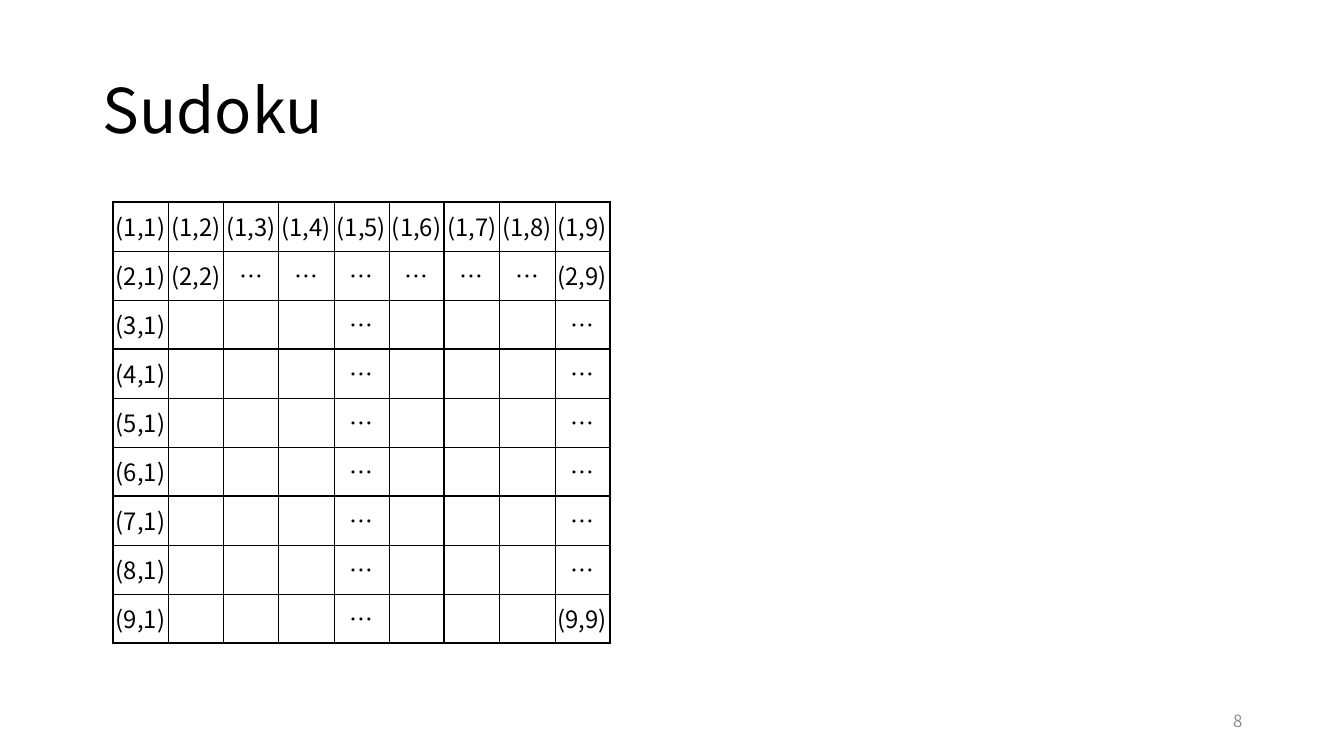
from lxml import etree
from pptx import Presentation
from pptx import util as u
from pptx.dml.color import RGBColor
from pptx.enum import text
from pptx.oxml import ns

COLORS = {"ink": "000000", "page": "FFFFFF", "number": "8C8C8C"}
FONT = "Noto Sans CJK KR"
SIZE = 9
BOX = 3
COLUMN, ROW = u.Inches(4.93 / SIZE), u.Inches(4.38 / SIZE)
THICK, THIN = u.Pt(1.5), u.Pt(0.25)


def write(frame, words, size, color, align):
    paragraph = frame.paragraphs[0]
    paragraph.alignment = align
    run = paragraph.add_run()
    run.text = words
    for key, value in {"name": FONT, "size": u.Pt(size)}.items():
        setattr(run.font, key, value)
    run.font.color.rgb = RGBColor.from_string(COLORS[color])
    etree.SubElement(run.font._element, ns.qn("a:ea"), typeface=FONT)
    return paragraph


def draw_border(cell, side, width):
    line = etree.SubElement(cell._tc.get_or_add_tcPr(), ns.qn(f"a:ln{side}"), w=str(width))
    fill = etree.SubElement(line, ns.qn("a:solidFill"))
    etree.SubElement(fill, ns.qn("a:srgbClr"), val=COLORS["ink"])


deck = Presentation()
deck.slide_width, deck.slide_height = u.Inches(13.33), u.Inches(7.5)
slide = deck.slides.add_slide(deck.slide_layouts[6])
slide.background.fill.solid()
slide.background.fill.fore_color.rgb = RGBColor.from_string(COLORS["page"])

labels = [
    ("Sudoku", (0.92, 0.4, 11.5, 1.45), 44, "ink", text.PP_ALIGN.LEFT, 0.9),
    ("8", (9.42, 6.95, 3, 0.4), 12, "number", text.PP_ALIGN.RIGHT, 1.0),
]
for words, place, size, color, align, spacing in labels:
    frame = slide.shapes.add_textbox(*map(u.Inches, place)).text_frame
    frame.word_wrap = True
    frame.vertical_anchor = text.MSO_ANCHOR.MIDDLE
    write(frame, words, size, color, align).line_spacing = spacing

board = slide.shapes.add_table(
    SIZE, SIZE, u.Inches(1.12), u.Inches(2), COLUMN * SIZE, ROW * SIZE
).table
for flag in ("first_row", "horz_banding"):
    setattr(board, flag, False)
for column in board.columns:
    column.width = COLUMN
for row in board.rows:
    row.height = ROW

cell_format = {
    "margin_left": 0,
    "margin_right": 0,
    "margin_top": 0,
    "margin_bottom": 0,
    "vertical_anchor": text.MSO_ANCHOR.MIDDLE,
}
corners = {(2, 2), (2, SIZE), (SIZE, SIZE)}
for row in range(1, SIZE + 1):
    for column in range(1, SIZE + 1):
        cell = board.cell(row - 1, column - 1)
        for key, value in cell_format.items():
            setattr(cell, key, value)
        edges = {"L": column - 1, "R": column, "T": row - 1, "B": row}
        for side, edge in edges.items():
            draw_border(cell, side, THIN if edge % BOX else THICK)
        cell.fill.background()
        if row == 1 or column == 1 or (row, column) in corners:
            words = f"({row},{column})"
        elif row == 2 or column in (5, SIZE):
            words = "…"
        else:
            continue
        write(cell.text_frame, words, 17, "ink", text.PP_ALIGN.CENTER)

deck.save("out.pptx")
